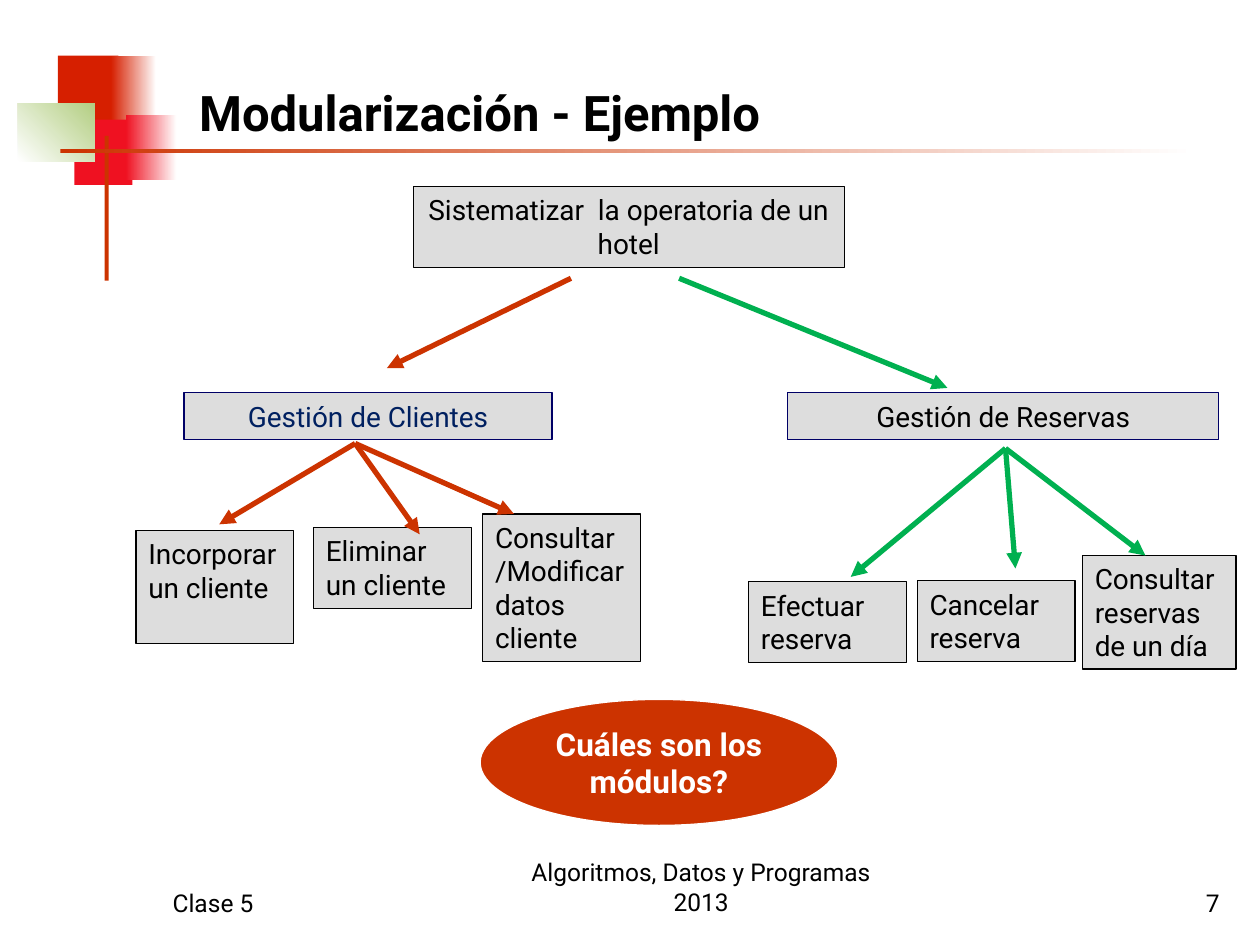
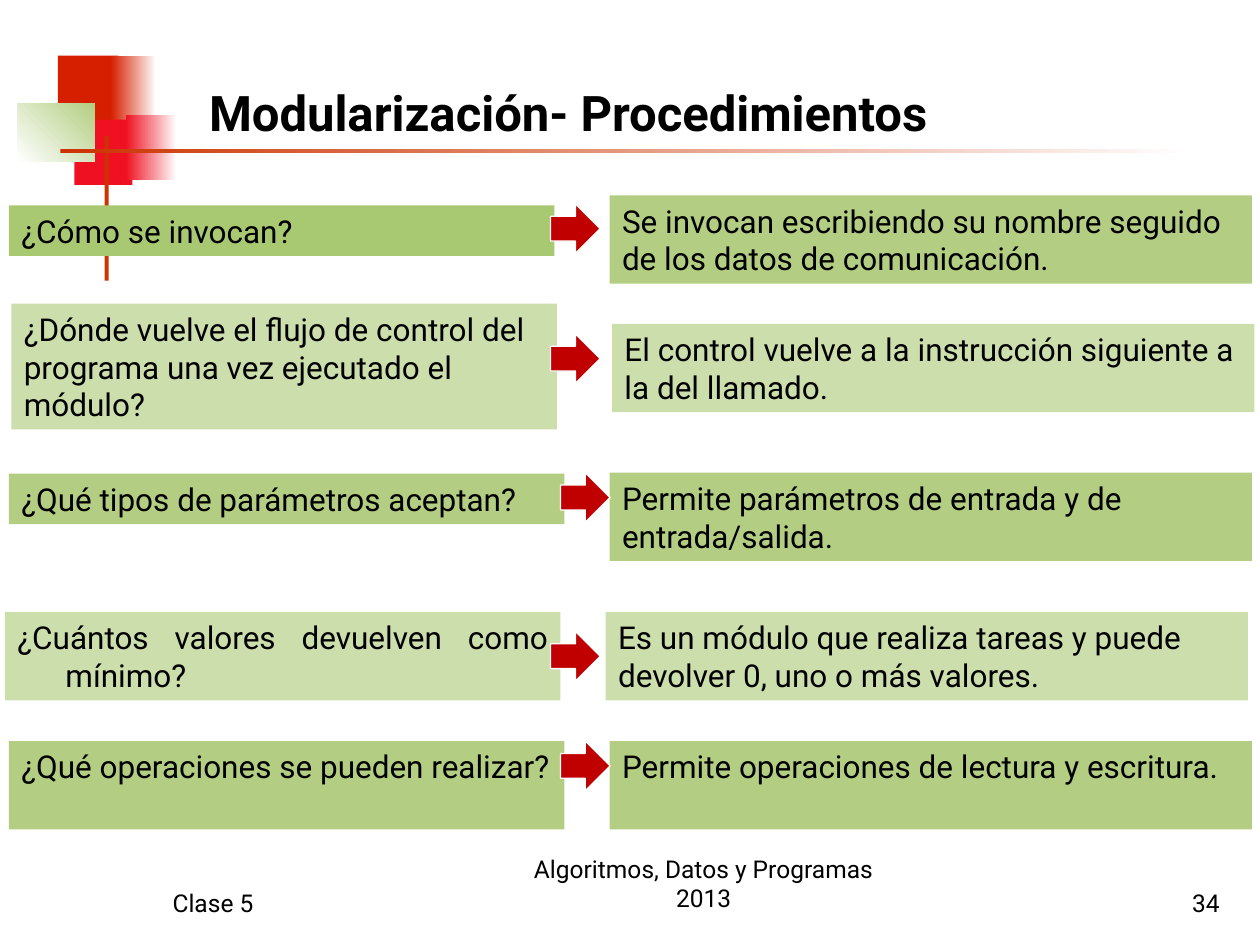
from dataclasses import dataclass

from lxml.etree import SubElement
from pptx import Presentation
from pptx.dml.color import RGBColor
from pptx.enum.shapes import MSO_CONNECTOR, MSO_SHAPE
from pptx.enum.text import MSO_ANCHOR, MSO_AUTO_SIZE, PP_ALIGN
from pptx.oxml.ns import qn
from pptx.util import Cm, Pt


@dataclass(frozen=True)
class Theme:
    """Colours, type sizes and font shared by the slides."""
    font: str = "Roboto"
    title: int = 28
    body: int = 18
    node: int = 16
    footer: int = 14
    black: str = "000000"
    white: str = "FFFFFF"
    navy: str = "002060"
    border: str = "000066"
    grey: str = "DDDDDD"
    orange: str = "CC3300"
    scarlet: str = "D61F00"
    red: str = "EF1121"
    arrow: str = "C00000"
    reserve: str = "00B050"
    leaf: str = "B3CE82"
    pale: str = "CCDEAC"
    deep: str = "A9C872"


T = Theme()


def rgb(code):
    """Return the colour for a hex code."""
    return RGBColor.from_string(code)


def cm(*values):
    """Convert centimetre values to lengths."""
    return [Cm(v) for v in values]


def write(sp, text, size, color=T.black, bold=False, align=PP_ALIGN.LEFT,
          anchor=MSO_ANCHOR.TOP, wrap=True):
    """Set and format the text of a shape."""
    tf = sp.text_frame
    tf.text = text
    tf.word_wrap = wrap
    tf.auto_size = MSO_AUTO_SIZE.NONE
    tf.vertical_anchor = anchor
    for p in tf.paragraphs:
        p.alignment = align
        for r in p.runs:
            r.font.name = T.font
            r.font.size = Pt(size)
            r.font.bold = bold
            r.font.color.rgb = rgb(color)


def add_block(slide, box, fill, line=None, kind=MSO_SHAPE.RECTANGLE):
    """Add a flat preset shape, with a plain fill or a (from, to, angle) gradient."""
    sp = slide.shapes.add_shape(kind, *cm(*box))
    sp.shadow.inherit = False
    if isinstance(fill, tuple):
        start, end, angle = fill
        sp.fill.gradient()
        sp.fill.gradient_angle = angle
        for stop, color, position in zip(sp.fill.gradient_stops, (start, end), (0, 1)):
            stop.color.rgb = rgb(color)
            stop.position = position
    else:
        sp.fill.solid()
        sp.fill.fore_color.rgb = rgb(fill)
    if line:
        sp.line.color.rgb = rgb(line)
        sp.line.width = Pt(0.75)
    else:
        sp.line.fill.background()
    return sp


def add_arrow(slide, start, end, color):
    """Add a straight arrow between two points."""
    sp = slide.shapes.add_connector(MSO_CONNECTOR.STRAIGHT, *cm(*start, *end))
    sp.line.color.rgb = rgb(color)
    sp.line.width = Pt(3)
    spPr = sp.element.spPr
    SubElement(spPr.find(qn("a:ln")), qn("a:tailEnd"), type="triangle")
    SubElement(spPr, qn("a:effectLst"))


def decorate_layout(slide, layout, box):
    """Draw the corner squares and rules and place them on the layout."""
    x, y, width = box
    parts = (
        (0.81, 0, 1.22, 1.32, T.scarlet),
        (1.88, 0, 0.91, 1.32, (T.scarlet, T.white, 0)),
        (1.14, 1.29, 1.17, 1.32, T.red),
        (2.18, 1.19, 1.02, 1.32, (T.red, T.white, 0)),
        (0, 0.96, 1.55, 1.17, (T.white, T.leaf, 45)),
        (1.75, 1.62, 0.08, 2.92, T.orange),
        (0.86, 1.88, width - 0.86, 0.08, (T.orange, T.white, 0)),
    )
    for i, (dx, dy, w, h, fill) in enumerate(parts):
        sp = add_block(slide, (x + dx, y + dy, w, h), fill)
        sp.name = f"Adorno {i + 1}"
        sp.element.nvSpPr.cNvPr.set("id", str(100 + i))
        layout.shapes.element.insert(2 + i, sp.element)


def add_title(slide, box, text):
    """Place the title placeholder."""
    sp = slide.shapes.title
    sp.left, sp.top, sp.width, sp.height = cm(*box)
    write(sp, text, T.title, bold=True, anchor=MSO_ANCHOR.BOTTOM)


def add_footer(slide, box, number, course_offset):
    """Add the class, course and page texts along the bottom."""
    x, y, w, h = box
    side = 5.28
    dx, dy = course_offset
    parts = (
        ("Clase 5", x, y, side, PP_ALIGN.LEFT),
        ("Algoritmos, Datos y Programas 2013", x + dx, y + dy, 8.05, PP_ALIGN.CENTER),
        (str(number), x + w - side, y, side, PP_ALIGN.RIGHT),
    )
    for text, left, top, width, align in parts:
        sp = slide.shapes.add_textbox(*cm(left, top, width, h))
        write(sp, text, T.footer, align=align, anchor=MSO_ANCHOR.BOTTOM)


def add_branch(slide, box, name, color, arrow_color, link, fan, tasks):
    """Add a management area with its incoming arrow and its fan of tasks."""
    x, y = box[:2]

    def at(point):
        """Shift a point to the corner of the branch."""
        return x + point[0], y + point[1]

    sp = add_block(slide, box, T.grey, T.border)
    write(sp, name, T.node, color, align=PP_ALIGN.CENTER)
    add_arrow(slide, at(link[0]), at(link[1]), arrow_color)
    for text, corner, size, _ in tasks:
        sp = add_block(slide, (*at(corner), *size), T.grey, T.black)
        write(sp, text, T.node)
    for *_, tip in tasks:
        add_arrow(slide, at(fan), at(tip), arrow_color)


def add_row(slide, box, question, answer, fills, answer_dy, arrow, hanging):
    """Add a question, its answer and the arrow that joins them."""
    x, y, w, h = box
    sp = add_block(slide, box, fills[0])
    write(sp, question, T.body, align=PP_ALIGN.JUSTIFY if hanging else PP_ALIGN.LEFT)
    if hanging:
        pPr = sp.text_frame.paragraphs[0]._p.get_or_add_pPr()
        pPr.set("marL", str(Cm(0.97)))
        pPr.set("indent", str(-Cm(0.97)))
    sp = add_block(slide, (x + 12.11, y + answer_dy, 12.95, 1.78), fills[1])
    write(sp, answer, T.body)
    dx, dy = arrow
    add_block(slide, (x + dx, y + dy, 1, 1), T.arrow, T.white, MSO_SHAPE.RIGHT_ARROW)


def build_example(slide):
    """Build the hotel module tree."""
    add_title(slide, (3.76, 0.64, 18.62, 2.34), "Modularización - Ejemplo")
    sp = add_block(slide, (8.33, 3.76, 8.69, 1.63), T.grey, T.black)
    write(sp, "Sistematizar  la operatoria de un hotel", T.node, align=PP_ALIGN.CENTER)
    add_branch(
        slide, (3.71, 7.92, 7.42, 0.94), "Gestión de Clientes", T.navy, T.orange,
        ((7.8, -2.31), (4.09, -0.5)), (3.45, 1.02),
        (("Incorporar un cliente", (-0.97, 2.77), (3.18, 2.29), (0.71, 2.65)),
         ("Eliminar un cliente", (2.61, 2.72), (3.18, 1.63), (4.75, 2.85)),
         ("Consultar /Modificar datos cliente", (6.02, 2.44), (3.18, 2.97), (6.65, 2.44))))
    add_branch(
        slide, (15.88, 7.92, 8.69, 0.94), "Gestión de Reservas", T.black, T.reserve,
        ((-2.19, -2.31), (3.22, -0.1)), (4.39, 1.12),
        (("Efectuar reserva", (-0.79, 3.81), (3.18, 1.63), (1.27, 3.71)),
         ("Cancelar reserva", (2.61, 3.79), (3.18, 1.63), (4.59, 3.54)),
         ("Consultar reservas de un día", (5.94, 3.28), (3.1, 2.29), (7.21, 3.28))))
    sp = add_block(slide, (9.68, 14.1, 7.21, 2.54), T.orange, T.white, MSO_SHAPE.OVAL)
    write(sp, "Cuáles son los\nmódulos?", T.body, T.white, True,
          PP_ALIGN.CENTER, MSO_ANCHOR.MIDDLE, wrap=False)
    add_footer(slide, (3.23, 17.35, 21.61, 1.27), 7, (6.88, -0.03))


def build_procedures(slide):
    """Build the questions and answers about procedures."""
    add_title(slide, (3.96, 0.64, 19.25, 2.34), "Modularización- Procedimientos")
    rows = (
        ((0.18, 4.14, 11, 1.02), "¿Cómo se invocan?",
         "Se invocan escribiendo su nombre seguido de los datos de comunicación.",
         (T.deep, T.leaf), -0.2, (10.92, -0.03), True),
        ((0.23, 6.12, 11, 2.54),
         "¿Dónde vuelve el flujo de control del programa una vez ejecutado el módulo?",
         "El control vuelve a la instrucción siguiente a la del llamado.",
         (T.pale, T.pale), 0.41, (10.87, 0.61), False),
        ((0.18, 9.55, 11.2, 1.02), "¿Qué tipos de parámetros aceptan?",
         "Permite parámetros de entrada y de entrada/salida.",
         (T.leaf, T.leaf), -0.02, (11.12, -0.02), True),
        ((0.1, 12.34, 11.2, 1.78), "¿Cuántos valores devuelven como mínimo?",
         "Es un módulo que realiza tareas y puede devolver 0, uno o más valores.",
         (T.pale, T.pale), 0, (11, 0.39), True),
        ((0.18, 14.94, 11.2, 1.78), "¿Qué operaciones se pueden realizar?",
         "Permite operaciones de lectura y escritura.",
         (T.leaf, T.leaf), 0, (11.12, 0), True),
    )
    for row in rows:
        add_row(slide, *row)
    add_footer(slide, (3.23, 17.35, 21.61, 1.27), 34, (6.93, -0.1))


def main():
    """Build and save the presentation."""
    prs = Presentation()
    prs.slide_width, prs.slide_height = cm(25.4, 19.05)
    layout = prs.slide_layouts[5]
    example = prs.slides.add_slide(layout)
    decorate_layout(example, layout, (0.36, 1.12, 23.72))
    build_example(example)
    build_procedures(prs.slides.add_slide(layout))
    prs.save("out.pptx")


if __name__ == "__main__":
    main()
